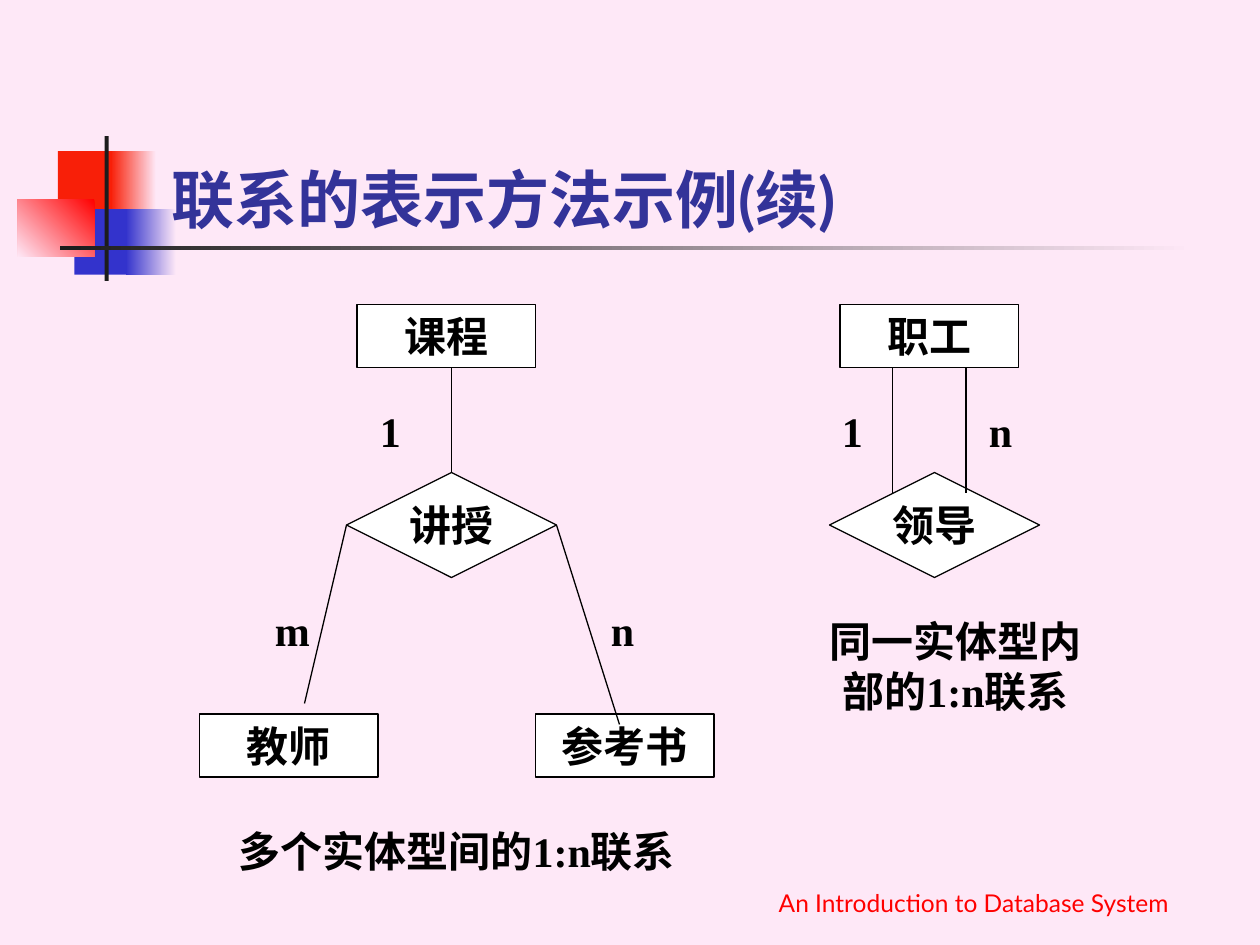
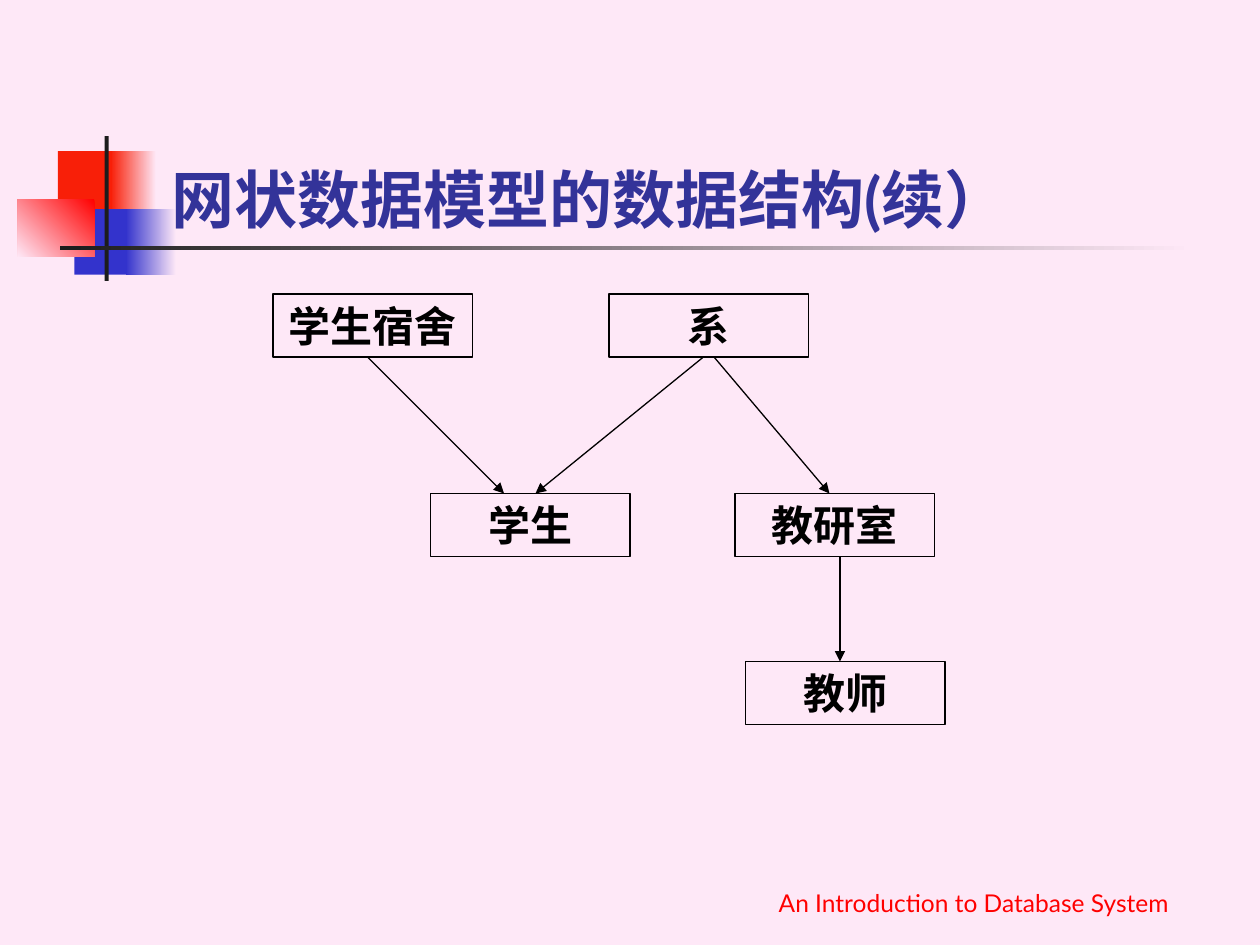
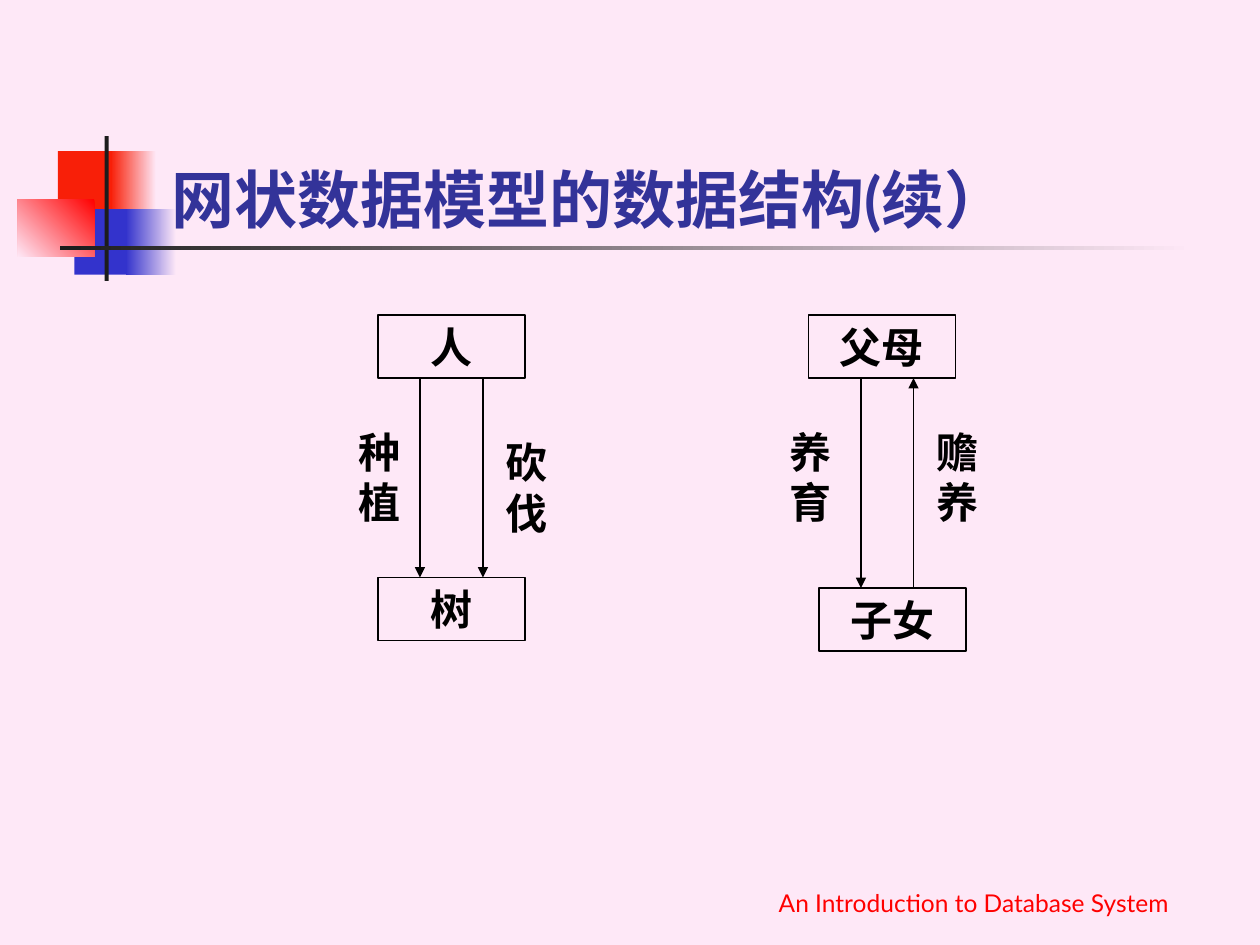
from dataclasses import dataclass

from lxml.etree import SubElement
from pptx import Presentation
from pptx.dml.color import RGBColor
from pptx.enum.shapes import MSO_CONNECTOR, MSO_SHAPE
from pptx.enum.text import MSO_ANCHOR, PP_ALIGN
from pptx.oxml.ns import qn
from pptx.util import Inches, Pt

COLUMNS, ROWS = 120, 90
WIDTH, HEIGHT = Inches(10), Inches(7.5)
BOX_H = 6
TWO_LINES_H = 10.8
TOP, LEFT, BOTTOM, RIGHT = range(4)


@dataclass(frozen=True)
class Theme:
    background: RGBColor = RGBColor(0xFE, 0xE8, 0xF7)
    ink: RGBColor = RGBColor(0, 0, 0)
    paper: RGBColor = RGBColor(0xFF, 0xFF, 0xFF)
    title: RGBColor = RGBColor(0x33, 0x33, 0x99)
    red: RGBColor = RGBColor(0xFF, 0, 0)
    brick: RGBColor = RGBColor(0xF8, 0x1F, 0x08)
    blue: RGBColor = RGBColor(0x33, 0x33, 0xCC)
    bar: RGBColor = RGBColor(0x1C, 0x1C, 0x1C)
    heading_font: str = "Lato"
    body_font: str = "Times New Roman"
    title_size: int = 36
    body_size: int = 24
    footer_size: int = 14
    line: float = 0.75
    thick_line: float = 1


THEME = Theme()


def grid(*cells):
    """Turn alternating columns and rows into lengths on the slide."""
    units = (WIDTH / COLUMNS, HEIGHT / ROWS)
    return [round(n * units[i % 2]) for i, n in enumerate(cells)]


def write(sp, text, size=THEME.body_size, font=THEME.body_font, color=THEME.ink,
          bold=True, align=PP_ALIGN.CENTER, anchor=MSO_ANCHOR.TOP, wrap=True):
    tf = sp.text_frame
    tf.word_wrap = wrap
    tf.vertical_anchor = anchor
    p = tf.paragraphs[0]
    p.text = text
    p.alignment = align
    p.font.size = Pt(size)
    p.font.name = font
    p.font.bold = bold
    p.font.color.rgb = color


def add_text(s, cells, text, **style):
    write(s.shapes.add_textbox(*grid(*cells)), text, **style)


def add_panel(s, cells, *colors, angle=180):
    """Add a borderless rectangle in one colour or in a gradient of two."""
    sp = s.shapes.add_shape(MSO_SHAPE.RECTANGLE, *grid(*cells))
    sp.shadow.inherit = False
    sp.line.fill.background()
    if len(colors) == 1:
        sp.fill.solid()
        sp.fill.fore_color.rgb = colors[0]
        return
    sp.fill.gradient()
    sp.fill.gradient_angle = angle
    for stop, color in zip(sp.fill.gradient_stops, colors):
        stop.color.rgb = color


def add_node(s, kind, cells, text, fill=None, **style):
    sp = s.shapes.add_shape(kind, *grid(*cells))
    sp.shadow.inherit = False
    if fill is None:
        sp.fill.background()
    else:
        sp.fill.solid()
        sp.fill.fore_color.rgb = fill
    sp.line.color.rgb = THEME.ink
    sp.line.width = Pt(THEME.line)
    write(sp, text, **style)
    return sp


def add_boxes(s, width, boxes, fill=None):
    for col, row, text in boxes:
        add_node(s, MSO_SHAPE.RECTANGLE, (col, row, width, BOX_H), text, fill)


def add_relation(s, col, row, text):
    return add_node(s, MSO_SHAPE.DIAMOND, (col, row, 20, 10), text, THEME.paper,
                    anchor=MSO_ANCHOR.MIDDLE, wrap=False)


def add_line(s, ends, weight=THEME.line, arrow=False):
    c = s.shapes.add_connector(MSO_CONNECTOR.STRAIGHT, *grid(*ends))
    c.line.color.rgb = THEME.ink
    c.line.width = Pt(weight)
    props = c.element.spPr
    if arrow:
        SubElement(props.find(qn("a:ln")), qn("a:tailEnd"), type="triangle")
    SubElement(props, qn("a:effectLst"))
    return c


def add_arrows(s, arrows, weight=THEME.line):
    for ends in arrows:
        add_line(s, ends, weight, arrow=True)


def add_cardinalities(s, labels):
    for col, row, text in labels:
        add_text(s, (col, row, 5, BOX_H), text, align=PP_ALIGN.LEFT)


def add_slide(prs, title):
    """Add a slide with the corner ornament, title and footer."""
    t = THEME
    s = prs.slides.add_slide(prs.slide_layouts[6])
    add_panel(s, (5.52, 14.4, 5.76, 6.24), t.brick)
    add_panel(s, (10.56, 14.4, 4.32, 6.24), t.background, t.brick)
    add_panel(s, (7.08, 19.92, 5.52, 6.24), t.blue)
    add_panel(s, (12, 19.92, 4.8, 6.24), t.background, t.blue)
    add_panel(s, (1.68, 18.96, 7.32, 5.52), t.red, t.background, angle=225)
    add_panel(s, (9.96, 12.96, 0.4, 13.8), t.bar)
    add_panel(s, (5.76, 23.4, 108, 0.4), t.background, t.bar)
    add_text(s, (15.12, 8.04, 102.24, 15), title, size=t.title_size,
             font=t.heading_font, color=t.title, align=PP_ALIGN.LEFT,
             anchor=MSO_ANCHOR.BOTTOM)
    add_text(s, (68.5, 82, 48.5, 6), "An Introduction to Database System",
             size=t.footer_size, font=t.heading_font, color=t.red, bold=False,
             anchor=MSO_ANCHOR.BOTTOM)
    return s


def build_relationships(prs):
    s = add_slide(prs, "联系的表示方法示例(续)")
    add_boxes(s, 17, [(80, 29, "职工"), (34, 29, "课程"),
                      (19, 68, "教师"), (51, 68, "参考书")], THEME.paper)
    add_relation(s, 79, 45, "领导")
    teaching = add_relation(s, 33, 45, "讲授")
    for col in (85, 92):
        add_line(s, (col, 35, col, 47))
    for site, ends in ((TOP, (43, 45, 43, 35)), (LEFT, (33, 50, 29, 67)),
                       (RIGHT, (53, 50, 59, 69))):
        add_line(s, ends).begin_connect(teaching, site)
    add_cardinalities(s, [(79, 38, "1"), (93, 38, "n"), (35, 38, "1"),
                          (25, 57, "m"), (57, 57, "n")])
    add_text(s, (76, 58, 30, TWO_LINES_H), "同一实体型内部的1:n联系")
    add_text(s, (19, 78, 49, BOX_H), "多个实体型间的1:n联系")


def build_network(prs):
    s = add_slide(prs, "网状数据模型的数据结构(续）")
    add_boxes(s, 19, [(26, 28, "学生宿舍"), (58, 28, "系"), (41, 47, "学生"),
                      (70, 47, "教研室"), (71, 63, "教师")])
    add_arrows(s, [(35, 34, 48, 47), (67, 34, 51, 47),
                   (68, 34, 79, 47), (80, 53, 80, 63)])


def build_multiple_links(prs):
    s = add_slide(prs, "网状数据模型的数据结构(续）")
    add_boxes(s, 14, [(36, 30, "人"), (36, 55, "树"),
                      (77, 30, "父母"), (78, 56, "子女")])
    add_arrows(s, [(40, 36, 40, 55), (46, 36, 46, 55),
                   (82, 36, 82, 56), (87, 56, 87, 36)], THEME.thick_line)
    for col, row, text in ((33, 40, "种植"), (47, 41, "砍伐"),
                           (74, 40, "养育"), (88, 40, "赡养")):
        add_text(s, (col, row, 6, TWO_LINES_H), text)


def main():
    prs = Presentation()
    prs.slide_width, prs.slide_height = WIDTH, HEIGHT
    backdrop = prs.slide_master.background.fill
    backdrop.solid()
    backdrop.fore_color.rgb = THEME.background
    build_relationships(prs)
    build_network(prs)
    build_multiple_links(prs)
    prs.save("out.pptx")


if __name__ == "__main__":
    main()
